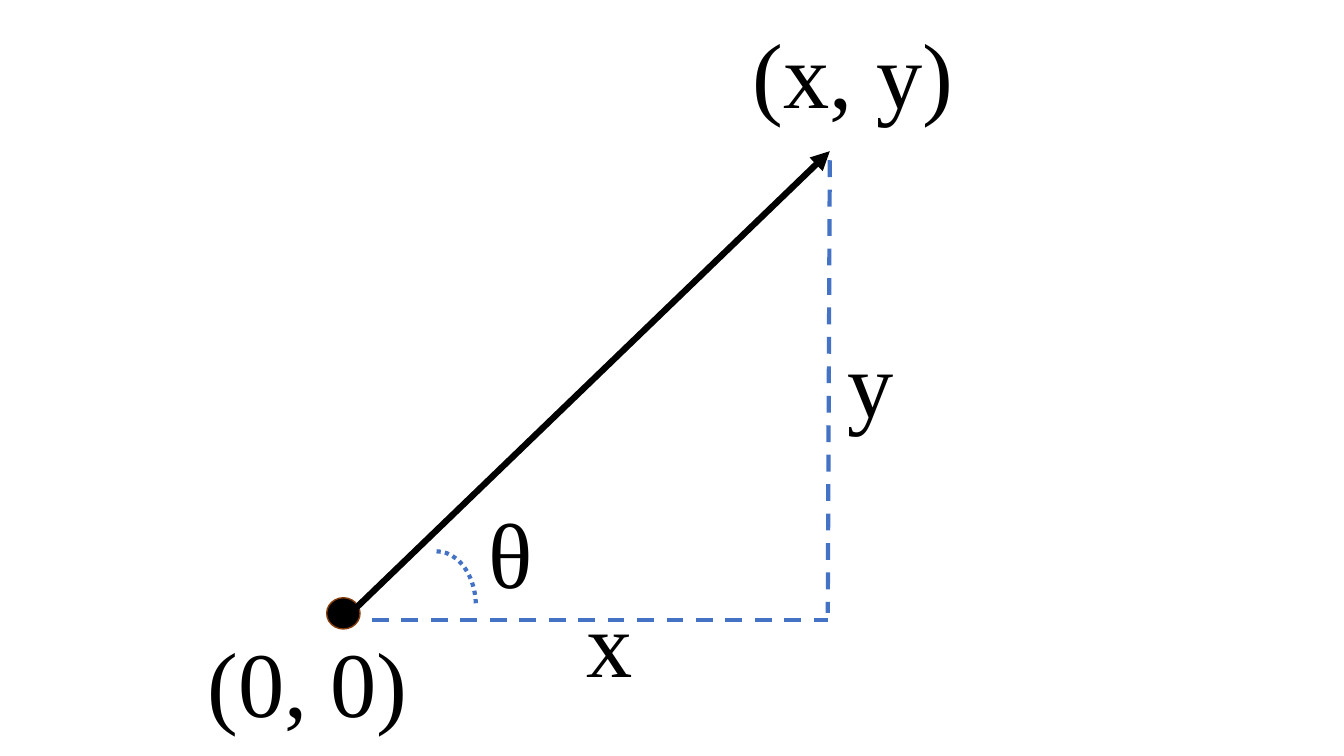
from dataclasses import dataclass

from lxml import etree
from pptx import Presentation
from pptx import util as u
from pptx.dml.color import RGBColor
from pptx.enum import dml, shapes, text
from pptx.oxml import ns

WIDTH, HEIGHT = u.Inches(13.33), u.Inches(7.5)


@dataclass(frozen=True)
class Theme:
    ink: RGBColor = RGBColor(0x00, 0x00, 0x00)
    guide: RGBColor = RGBColor(0x44, 0x72, 0xC4)
    rim: RGBColor = RGBColor(0x84, 0x3C, 0x0B)
    font: str = "Times New Roman"
    label_size: int = 66
    vector_width: float = 4.5
    guide_width: float = 3
    rim_width: float = 1


THEME = Theme()


def across(percent):
    """Share of the slide's width."""
    return round(WIDTH * percent / 100)


def down(percent):
    """Share of the slide's height."""
    return round(HEIGHT * percent / 100)


def style_line(line, color, width, dash=None):
    line.color.rgb = color
    line.width = u.Pt(width)
    if dash is not None:
        line.dash_style = dash


def add_label(page, words, left, top, width):
    box = page.shapes.add_textbox(across(left), down(top), across(width), down(16.13))
    frame = box.text_frame
    frame.text = words
    frame.word_wrap = False
    frame.auto_size = text.MSO_AUTO_SIZE.SHAPE_TO_FIT_TEXT
    font = frame.paragraphs[0].runs[0].font
    font.name = THEME.font
    font.size = u.Pt(THEME.label_size)
    font.color.rgb = THEME.ink


def add_segment(page, start, end, color, width, dash=None, arrow=False):
    segment = page.shapes.add_connector(
        shapes.MSO_CONNECTOR.STRAIGHT,
        across(start[0]), down(start[1]), across(end[0]), down(end[1]))
    style_line(segment.line, color, width, dash)
    properties = segment._element.spPr
    if arrow:
        etree.SubElement(segment.line._get_or_add_ln(), ns.qn("a:tailEnd"), type="triangle")
    etree.SubElement(properties, ns.qn("a:effectLst"))


def add_outline(page, kind, left, top, width, height):
    shape = page.shapes.add_shape(
        kind, across(left), down(top), across(width), down(height))
    shape.shadow.inherit = False
    return shape


def add_origin(page):
    dot = add_outline(page, shapes.MSO_SHAPE.OVAL, 24.31, 79.07, 2.48, 4.13)
    dot.fill.solid()
    dot.fill.fore_color.rgb = THEME.ink
    style_line(dot.line, THEME.rim, THEME.rim_width)


def add_angle(page):
    arc = add_outline(page, shapes.MSO_SHAPE.ARC, 29.56, 72.93, 5.85, 14.53)
    arc.fill.background()
    style_line(arc.line, THEME.guide, THEME.guide_width, dml.MSO_LINE.ROUND_DOT)


def main():
    deck = Presentation()
    deck.slide_width, deck.slide_height = WIDTH, HEIGHT
    page = deck.slides.add_slide(deck.slide_layouts[6])

    # Origin and vector
    add_origin(page)
    add_segment(page, (26.11, 81.07), (61.74, 20), THEME.ink, THEME.vector_width, arrow=True)

    # Dashed components: vertical, then horizontal
    for start, end in [((61.74, 21.2), (61.59, 81.07)), ((27.68, 82), (61.59, 82))]:
        add_segment(page, start, end, THEME.guide, THEME.guide_width, dml.MSO_LINE.DASH)

    # Labels of points, sides and angle
    for words, left, top, width in [
        ("(0, 0)", 14.7, 82, 16.58),
        ("(x, y)", 55.29, 1.47, 16.58),
        ("x", 42.91, 76.8, 4.95),
        ("y", 62.34, 42.4, 4.95),
        ("θ", 35.63, 64.93, 4.88),
    ]:
        add_label(page, words, left, top, width)

    # Angle mark
    add_angle(page)

    deck.save("out.pptx")


if __name__ == "__main__":
    main()
